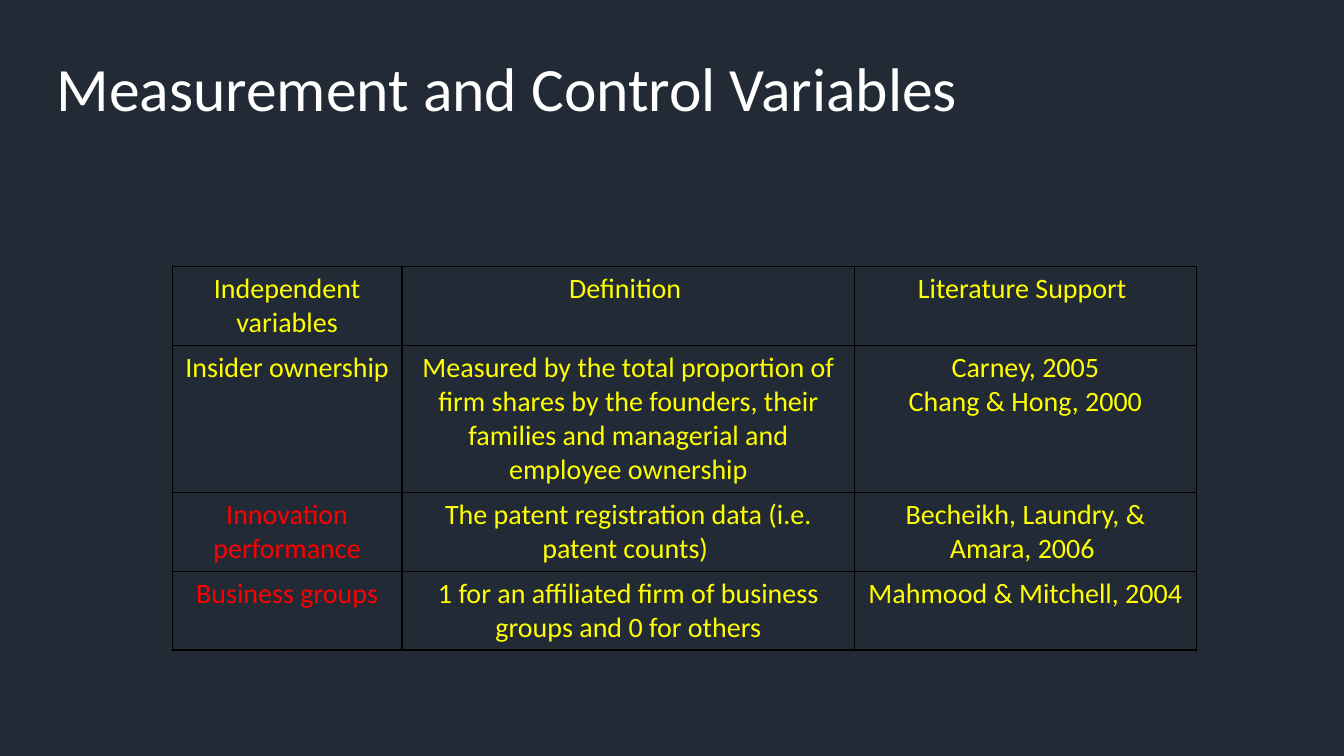
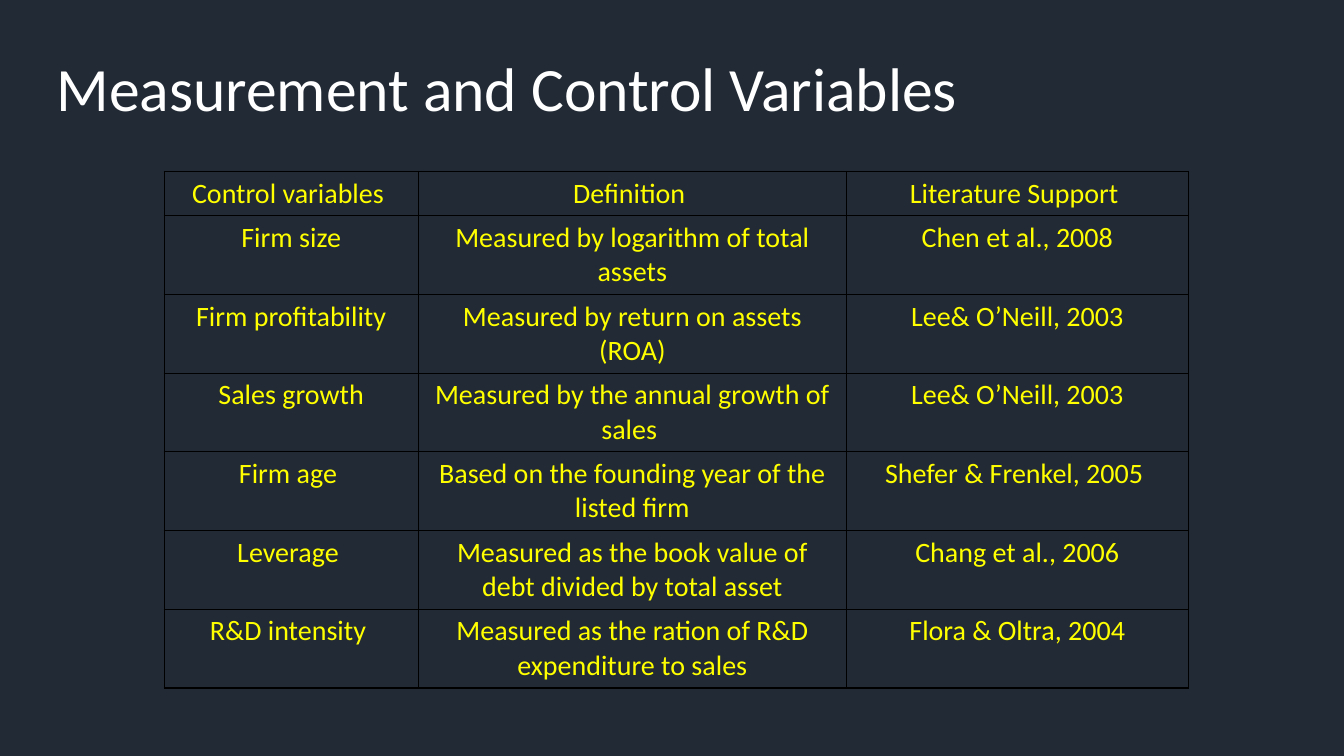
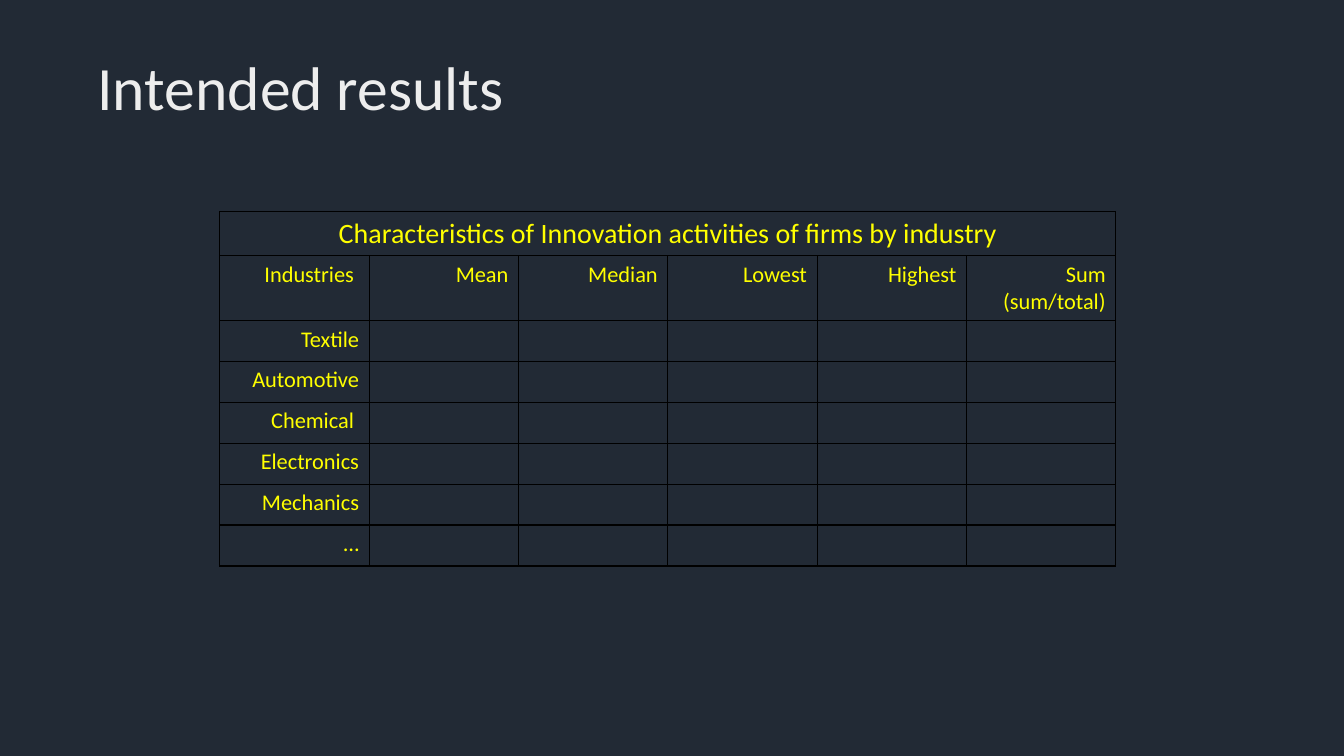
"""Build three slides of variable definitions and intended results."""
import dataclasses

import lxml.etree
import pptx
import pptx.dml.color
import pptx.enum.text
import pptx.oxml.ns
import pptx.util

Pt = pptx.util.Pt
Color = pptx.dml.color.RGBColor.from_string
Align = pptx.enum.text.PP_ALIGN


@dataclasses.dataclass(frozen=True)
class Theme:
    font: str = "Calibri"
    background: str = "222A35"
    title: str = "FFFFFF"
    soft_title: str = "EDEDED"
    text: str = "FFFF00"
    highlight: str = "FF0000"
    border: str = "000000"
    border_width: float = 1
    title_size: float = 44
    text_size: float = 20
    small_size: float = 16


THEME = Theme()
HIGHLIGHTED = {"Innovation performance", "Business groups"}
MEASUREMENT_TITLE = "Measurement and Control Variables"

INDEPENDENT = [
    ("Independent variables", "Definition ", "Literature Support "),
    ("Insider ownership",
     "Measured by the total proportion of firm shares by the founders, "
     "their families and managerial and employee ownership",
     "Carney, 2005\nChang & Hong, 2000"),
    ("Innovation performance",
     "The patent registration data (i.e. patent counts) ",
     "Becheikh, Laundry, & Amara, 2006 "),
    ("Business groups",
     "1 for an affiliated firm of business groups and 0 for others",
     "Mahmood & Mitchell, 2004"),
]

CONTROL = [
    ("Control variables ", "Definition ", "Literature Support "),
    ("Firm size", "Measured by logarithm of total assets",
     "Chen et al., 2008"),
    ("Firm profitability", "Measured by return on assets (ROA)",
     "Lee& O’Neill, 2003"),
    ("Sales growth", "Measured by the annual growth of sales ",
     "Lee& O’Neill, 2003"),
    ("Firm age ", "Based on the founding year of the listed firm",
     "Shefer & Frenkel, 2005 "),
    ("Leverage ",
     "Measured as the book value of debt divided by total asset",
     "Chang et al., 2006"),
    ("R&D intensity ", "Measured as the ration of R&D expenditure to sales",
     "Flora & Oltra, 2004"),
]

RESULTS_CAPTION = "Characteristics of Innovation activities of firms by industry"
STATISTICS = ("Industries ", "Mean", "Median", "Lowest", "Highest",
              "Sum (sum/total)")
INDUSTRIES = ("Textile", "Automotive", "Chemical ", "Electronics",
              "Mechanics", "…")


def apply_format(target, values):
    for name, value in values.items():
        setattr(target, name, value)


def format_text(frame, size, color, align):
    for para in frame.paragraphs:
        para.alignment = align
        for span in para.runs:
            apply_format(span.font, {"name": THEME.font, "size": Pt(size),
                                     "bold": False})
            span.font.color.rgb = Color(color)


def add_page(deck, title, left, top, color):
    page = deck.slides.add_slide(deck.slide_layouts[5])
    box = page.shapes.title
    apply_format(box, {"left": Pt(left), "top": Pt(top),
                       "width": Pt(828), "height": Pt(104.4)})
    frame = box.text_frame
    frame.text = title
    apply_format(frame, {
        "margin_left": Pt(3.6), "margin_right": Pt(3.6),
        "margin_top": Pt(3.6), "margin_bottom": Pt(3.6),
        "word_wrap": True,
        "auto_size": pptx.enum.text.MSO_AUTO_SIZE.NONE,
        "vertical_anchor": pptx.enum.text.MSO_ANCHOR.MIDDLE,
    })
    format_text(frame, THEME.title_size, color, Align.LEFT)
    frame.paragraphs[0].line_spacing = 0.9
    return page


def add_borders(cell):
    qn = pptx.oxml.ns.qn
    properties = cell._tc.get_or_add_tcPr()
    for position, side in enumerate(("lnL", "lnR", "lnT", "lnB")):
        line = lxml.etree.Element(qn(f"a:{side}"),
                                  w=str(Pt(THEME.border_width)))
        fill = lxml.etree.SubElement(line, qn("a:solidFill"))
        lxml.etree.SubElement(fill, qn("a:srgbClr"), val=THEME.border)
        properties.insert(position, line)


def fill_cell(cell, text, size, align):
    color = THEME.highlight if text in HIGHLIGHTED else THEME.text
    cell.fill.background()
    add_borders(cell)
    if text:
        cell.text = text
        format_text(cell.text_frame, size, color, align)


def add_grid(page, left, top, widths, heights, rows, size, align):
    table = page.shapes.add_table(
        len(rows), len(widths), Pt(left), Pt(top),
        Pt(sum(widths)), Pt(sum(heights))).table
    apply_format(table, {"first_row": False, "horz_banding": False})
    for column, width in zip(table.columns, widths):
        column.width = Pt(width)
    for row, height, texts in zip(table.rows, heights, rows):
        row.height = Pt(height)
        for cell, text in zip(row.cells, texts):
            fill_cell(cell, text, size, align)
    return table


def add_independent_page(deck):
    page = add_page(deck, MEASUREMENT_TITLE, 36.7, 13, THEME.title)
    add_grid(page, 123, 190.5, (164.2, 323.3, 244), (55, 104, 55, 55),
             INDEPENDENT, THEME.text_size, Align.CENTER)


def add_control_page(deck):
    page = add_page(deck, MEASUREMENT_TITLE, 36.7, 13, THEME.title)
    add_grid(page, 117.3, 122.4, (181.4, 306, 244), [31] + [55] * 6,
             CONTROL, THEME.text_size, Align.CENTER)


def add_results_page(deck):
    page = add_page(deck, "Intended results", 66, 12.2, THEME.soft_title)
    blanks = ("",) * (len(STATISTICS) - 1)
    rows = [("",) + blanks, STATISTICS]
    rows += [(industry,) + blanks for industry in INDUSTRIES]
    table = add_grid(page, 157, 151, [106.67] * len(STATISTICS),
                     [31, 46] + [29.2] * len(INDUSTRIES),
                     rows, THEME.small_size, Align.RIGHT)
    caption = table.cell(0, 0)
    caption.merge(table.cell(0, len(STATISTICS) - 1))
    caption.text = RESULTS_CAPTION
    format_text(caption.text_frame, THEME.text_size, THEME.text, Align.CENTER)


def main():
    deck = pptx.Presentation()
    apply_format(deck, {"slide_width": Pt(960), "slide_height": Pt(540)})
    background = deck.slide_master.background.fill
    background.solid()
    background.fore_color.rgb = Color(THEME.background)
    add_independent_page(deck)
    add_control_page(deck)
    add_results_page(deck)
    deck.save("out.pptx")


main()
